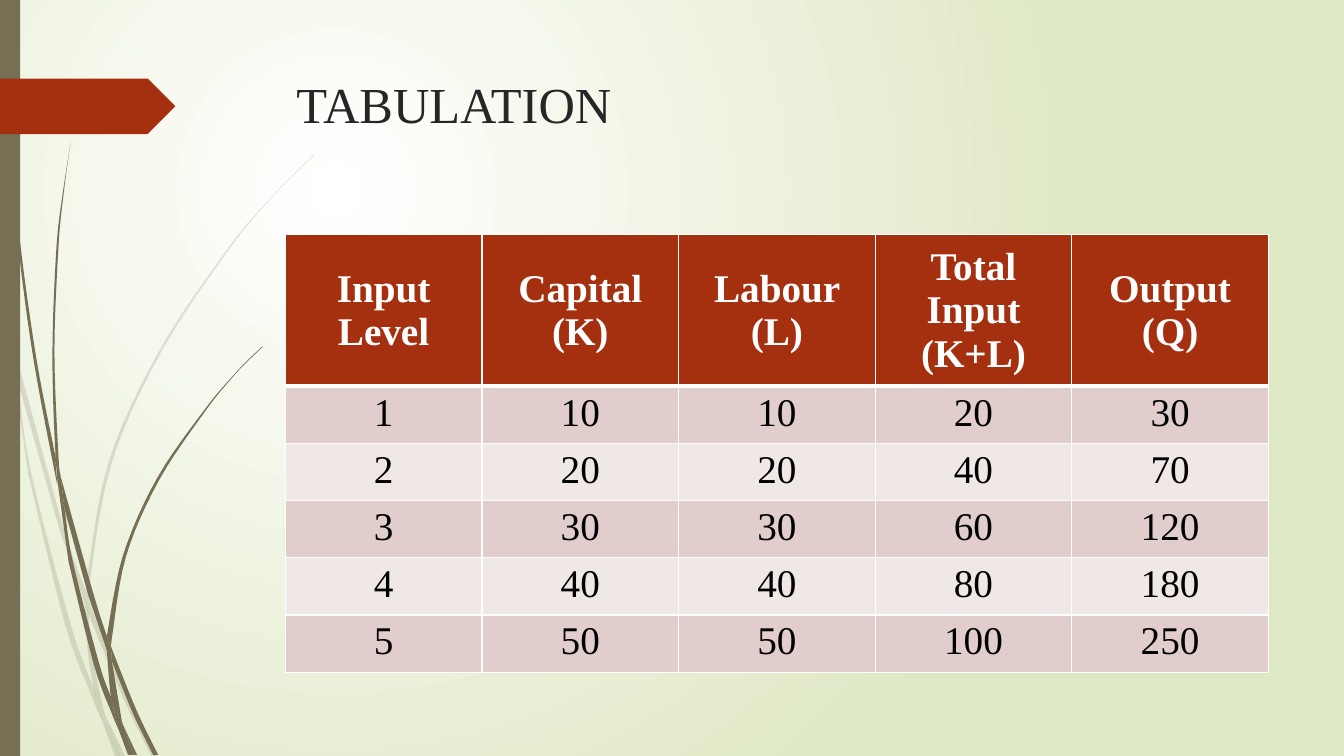
import dataclasses

import pptx
import pptx.dml.color
import pptx.enum.shapes
import pptx.enum.text
import pptx.oxml
import pptx.oxml.ns
import pptx.util

Inches = pptx.util.Inches
Pt = pptx.util.Pt
qn = pptx.oxml.ns.qn
Shapes = pptx.enum.shapes.MSO_SHAPE
Anchor = pptx.enum.text.MSO_ANCHOR


@dataclasses.dataclass(frozen=True)
class Theme:
    font: str = "Times New Roman"
    title_size: int = 36
    table_size: int = 28
    olive: str = "766F54"
    rust: str = "A53010"
    title_ink: str = "262626"
    white: str = "FFFFFF"
    black: str = "000000"
    glow_edge: str = "DFE8C4"
    band_dark: str = "E1CDCC"
    band_light: str = "F0E8E7"


THEME = Theme()

HEADINGS = ["Input Level", "Capital (K)", "Labour (L)", "Total Input (K+L)", "Output (Q)"]
OUTPUTS = [30, 70, 120, 180, 250]

# Each wisp is a closed outline; "/" marks a sharp corner between smooth edges.
PALE_WISPS = [
    "0.11,3.5 0.09,3.22 / 0,2.82 / 0,2.99 0.1,3.44",
    "0.58,5.22 0.84,5.99 / 0.85,5.86 0.62,5.2 0.14,3.45 / 0.17,3.76 0.58,5.22",
    "0.92,6.07 0.88,5.96 / 0.88,6.1 1.23,6.94 1.5,7.5 / 1.55,7.5 1.27,6.92 0.92,6.07",
    "1.19,7.5 / 1.24,7.5 / 1.05,7.11",
    "0.93,6.83 0.7,6.19 0.31,4.69 0.17,3.76 0.11,3.5 / "
    "0.28,4.7 0.65,6.21 0.92,6.93 1.01,7.14 / 0.99,7.07",
    "0.84,5.99 0.87,6.46 0.93,6.83 0.96,6.92 1.05,7.11 / "
    "1.03,7.06 0.91,6.46 0.88,6.1 / 0.88,6.08",
    "0.88,5.84 1.1,4.62 1.6,3.49 2.29,2.45 2.68,1.98 2.9,1.75 3.12,1.54 / "
    "3.12,1.53 2.89,1.75 2.68,1.97 2.28,2.44 1.58,3.48 1.07,4.61 0.85,5.84 / "
    "0.85,5.86 / 0.88,5.96",
    "1.01,7.14 1.14,7.5 / 1.19,7.5",
    "0.88,6.08 / 0.88,5.96 / 0.85,5.86 / 0.84,5.99",
    "0.96,6.92 0.93,6.83 / 0.99,7.07 1.01,7.14 1.19,7.5 / 1.05,7.11",
]
DARK_WISPS = [
    "0.07,1.1 0.17,2.33 0.33,3.55 0.56,4.77 / 0.57,4.81 / "
    "0.55,4.57 0.55,4.53 0.36,3.55 0.19,2.32 0.08,1.09 0.05,0.48 0.04,0 / "
    "0.03,0 0.04,0.48 0.07,1.1",
    "0.88,5.92 1.06,6.45 / 1.06,6.31 0.93,5.9 0.6,4.72 / 0.64,5.05 0.88,5.92",
    "1.13,6.49 1.1,6.41 / 1.11,6.56 1.32,7.08 1.52,7.49 / 1.57,7.49 1.36,7.06 1.13,6.49",
    "1.1,6.91 0.98,6.57 0.72,5.56 0.64,5.05 0.57,4.77 / "
    "0.68,5.57 0.93,6.59 1.11,7.08 1.17,7.22 / 1.16,7.17",
    "0.6,4.72 0.58,4.53 0.54,3.49 0.58,2.45 0.63,1.93 0.7,1.41 / "
    "0.62,1.93 0.56,2.45 0.52,3.49 0.55,4.49 0.6,4.72",
    "1.33,7.49 / 1.36,7.49 / 1.22,7.19",
    "0.57,4.77 0.64,5.05 / 0.6,4.72 0.55,4.49 / 0.55,4.53",
    "1.11,6.33 1.25,5.52 1.58,4.76 2.05,4.06 2.31,3.74 2.45,3.59 2.61,3.44 / "
    "2.6,3.44 2.45,3.58 2.31,3.73 2.04,4.05 1.56,4.74 1.22,5.51 1.06,6.31 / 1.1,6.41",
    "1.17,7.22 1.27,7.49 / 1.31,7.49",
    "1.06,6.45 1.1,6.91 1.16,7.06 1.22,7.19 / 1.21,7.16 1.11,6.56 / 1.09,6.51",
    "1.06,6.45 / 1.11,6.56 / 1.1,6.41 / 1.06,6.31",
    "1.16,7.06 1.1,6.91 / 1.16,7.17 1.17,7.22 1.3,7.49 / 1.33,7.49 1.22,7.19",
]


def colour(code):
    return pptx.dml.color.RGBColor.from_string(code)


def paint(shape, code):
    shape.shadow.inherit = False
    shape.fill.solid()
    shape.fill.fore_color.rgb = colour(code)
    shape.line.fill.background()


def style_text(para, size, code, bold=False):
    para.font.name = THEME.font
    para.font.size = Pt(size)
    para.font.bold = bold
    para.font.color.rgb = colour(code)


def smooth_edge(anchors, steps=6):
    padded = [anchors[0], *anchors, anchors[-1]]
    points = [anchors[0]]
    for before, start, end, after in zip(padded, padded[1:], padded[2:], padded[3:]):
        for step in range(1, steps + 1):
            t = step / steps
            points.append(tuple(
                b + t * (c - a) / 2
                + t ** 2 * (2 * a - 5 * b + 4 * c - d) / 2
                + t ** 3 * (3 * b - a - 3 * c + d) / 2
                for a, b, c, d in zip(before, start, end, after)))
    return points


def add_background(page):
    fill = page.background.fill
    fill.gradient()
    for stop, code in zip(fill.gradient_stops, (THEME.white, THEME.glow_edge)):
        stop.color.rgb = colour(code)
    gradient = page.element.find(".//" + qn("a:gradFill"))
    gradient.replace(gradient.find(qn("a:lin")), pptx.oxml.parse_xml(
        f'<a:path {pptx.oxml.ns.nsdecls("a")} path="circle">'
        '<a:fillToRect l="50000" t="50000" r="100000" b="100000"/></a:path>'))


def add_wisps(page, left, top, outlines, opacity=100):
    group = page.shapes.add_group_shape()
    for outline in outlines:
        points = []
        for edge in outline.split("/"):
            anchors = [tuple(map(float, pair.split(","))) for pair in edge.split()]
            points += smooth_edge(anchors)
        points = [(Inches(left + x), Inches(top + y)) for x, y in points]
        builder = group.shapes.build_freeform(*points[0])
        builder.add_line_segments(points[1:])
        wisp = builder.convert_to_shape()
        paint(wisp, THEME.olive)
        if opacity < 100:
            tint = wisp.element.spPr.find(qn("a:solidFill"))[0]
            tint.append(pptx.oxml.parse_xml(
                f'<a:alpha {pptx.oxml.ns.nsdecls("a")} val="{opacity * 1000}"/>'))


def add_side_decoration(page, left, top, height):
    add_wisps(page, left, top, PALE_WISPS, opacity=20)
    add_wisps(page, left, top, DARK_WISPS)
    bar = page.shapes.add_shape(
        Shapes.RECTANGLE, Inches(left), Inches(top), Inches(0.2), Inches(height))
    paint(bar, THEME.olive)
    tag = page.shapes.add_shape(
        Shapes.PENTAGON, Inches(left), Inches(top + 0.78), Inches(1.74), Inches(0.55))
    paint(tag, THEME.rust)


def add_title(page, left, top, width, height):
    box = page.shapes.add_textbox(Inches(left), Inches(top), Inches(width), Inches(height))
    box.text_frame.word_wrap = True
    box.text_frame.vertical_anchor = Anchor.TOP
    para = box.text_frame.paragraphs[0]
    para.text = "TABULATION"
    style_text(para, THEME.title_size, THEME.title_ink)


def set_borders(cell, widths):
    for index, (side, width) in enumerate(widths.items()):
        cell._tc.get_or_add_tcPr().insert(index, pptx.oxml.parse_xml(
            f'<a:ln{side} {pptx.oxml.ns.nsdecls("a")} w="{Pt(width)}"><a:solidFill>'
            f'<a:srgbClr val="{THEME.white}"/></a:solidFill></a:ln{side}>'))


def add_production_table(page, left, top, width, header_height, row_height):
    rows = [HEADINGS]
    for level, output in enumerate(OUTPUTS, 1):
        rows.append([level, 10 * level, 10 * level, 20 * level, output])
    height = header_height + row_height * len(OUTPUTS)
    table = page.shapes.add_table(
        len(rows), len(HEADINGS),
        Inches(left), Inches(top), Inches(width), Inches(height)).table
    for column in table.columns:
        column.width = Inches(width / len(HEADINGS))
    for r, values in enumerate(rows):
        header = r == 0
        table.rows[r].height = Inches(header_height if header else row_height)
        band = THEME.rust if header else THEME.band_dark if r % 2 else THEME.band_light
        for c, value in enumerate(values):
            cell = table.cell(r, c)
            cell.text = str(value)
            cell.vertical_anchor = Anchor.MIDDLE if header else Anchor.TOP
            cell.fill.solid()
            cell.fill.fore_color.rgb = colour(band)
            set_borders(cell, {"L": 1, "R": 1, "T": 3 if r == 1 else 1, "B": 3 if header else 1})
            para = cell.text_frame.paragraphs[0]
            para.alignment = pptx.enum.text.PP_ALIGN.CENTER
            style_text(para, THEME.table_size, THEME.white if header else THEME.black, header)


def main():
    deck = pptx.Presentation()
    deck.slide_width, deck.slide_height = Inches(13.33), Inches(7.5)
    page = deck.slides.add_slide(deck.slide_layouts[6])
    add_background(page)
    add_side_decoration(page, 0, 0, 7.5)
    add_title(page, 2.84, 0.68, 9.75, 1.4)
    add_production_table(page, 2.83, 2.33, 9.75, 1.39, 0.53)
    deck.save("out.pptx")


if __name__ == "__main__":
    main()
